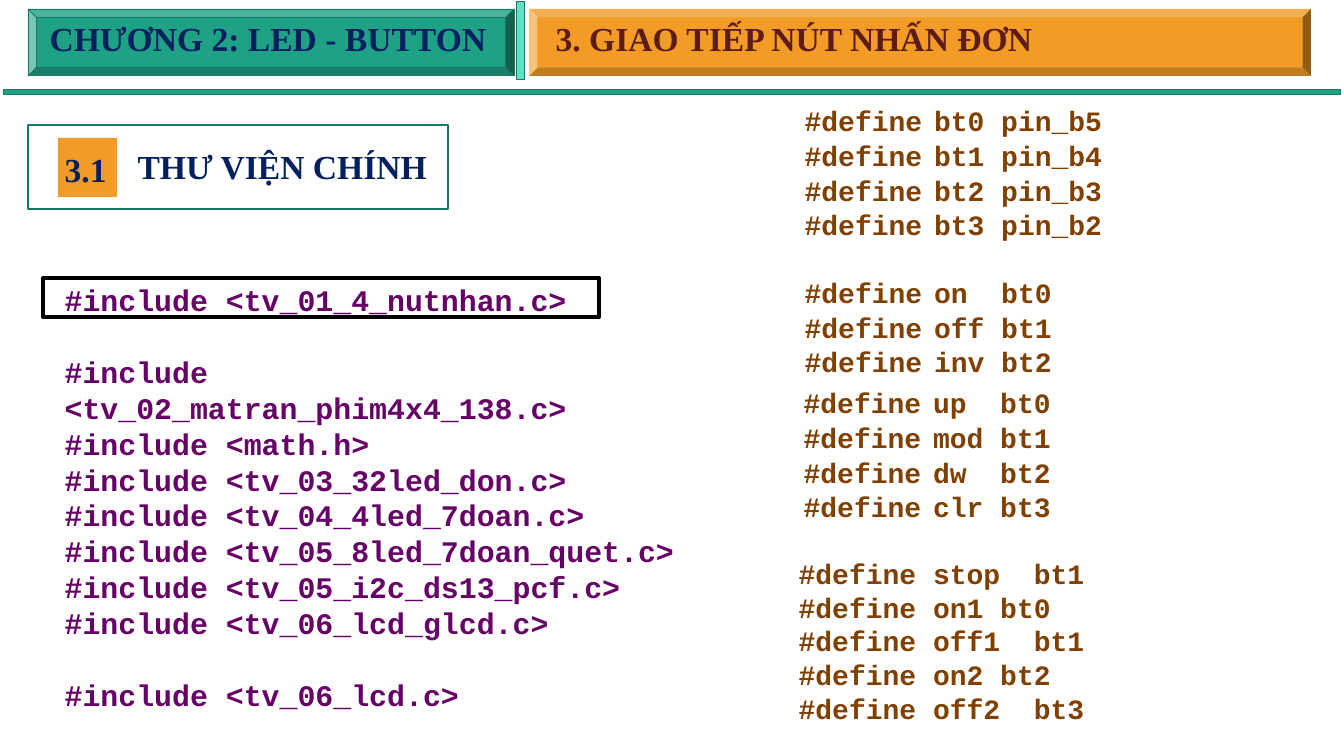
from dataclasses import dataclass

from lxml import etree
from pptx import Presentation
from pptx.dml.color import RGBColor
from pptx.enum.shapes import MSO_SHAPE
from pptx.oxml.ns import qn
from pptx.util import Emu, Pt


@dataclass(frozen=True)
class Theme:
    green: str = "1EA185"
    dark_green: str = "167762"
    mint: str = "5EE1C5"
    orange: str = "F29B26"
    navy: str = "002060"
    maroon: str = "5E1C18"
    purple: str = "660066"
    brown: str = "804000"
    black: str = "000000"
    heading_font: str = "Times New Roman"
    code_font: str = "Courier New"
    heading_size: int = 36
    include_size: int = 32
    define_size: int = 30


THEME = Theme()

# Content
CHAPTER = "CHƯƠNG 2: LED - BUTTON"
TOPIC = "3. GIAO TIẾP NÚT NHẤN ĐƠN"
SECTION_NUMBER = "3.1"
SECTION_TITLE = "THƯ VIỆN CHÍNH"
INCLUDES = [
    "tv_01_4_nutnhan.c", "tv_02_matran_phim4x4_138.c", "math.h",
    "tv_03_32led_don.c", "tv_04_4led_7doan.c", "tv_05_8led_7doan_quet.c",
    "tv_05_i2c_ds13_pcf.c", "tv_06_lcd_glcd.c", "tv_06_lcd.c",
]
SPACED_INCLUDES = {1, 8}

# Each group: tab stops in px, first-line indent in px, space above, line gap, pairs
WIDE_STOPS = (145, 274)
NARROW_STOPS = (134, 268)
DEFINE_BOXES = [
    ((793, 98, 540, 283), [
        (WIDE_STOPS, 5, 1, 1, [("bt0", "pin_b5"), ("bt1", "pin_b4"),
                               ("bt2", "pin_b3"), ("bt3", "pin_b2")]),
        (WIDE_STOPS, 5, 37, 1, [("on", "bt0"), ("off", "bt1"), ("inv", "bt2")]),
    ]),
    ((792, 380, 540, 349), [
        (WIDE_STOPS, 5, 0, 1, [("up", "bt0"), ("mod", "bt1"),
                               ("dw", "bt2"), ("clr", "bt3")]),
        (NARROW_STOPS, 0, 36, 0, [("stop", "bt1"), ("on1", "bt0"),
                                  ("off1", "bt1"), ("on2", "bt2")]),
        ((140, 274), 0, 0, 0, [("off2", "bt3")]),
    ]),
]


def px(length):
    return Emu(round(length * 914400 / 67.2))


prs = Presentation()
prs.slide_width, prs.slide_height = px(1344), px(756)
slide = prs.slides.add_slide(prs.slide_layouts[6])


def add_block(kind, box, fill=None, line=None, weight=1):
    block = slide.shapes.add_shape(kind, *map(px, box))
    block.shadow.inherit = False
    if fill:
        block.fill.solid()
        block.fill.fore_color.rgb = RGBColor.from_string(fill)
    else:
        block.fill.background()
    if line:
        block.line.color.rgb = RGBColor.from_string(line)
        block.line.width = Pt(weight)
    else:
        block.line.fill.background()


def set_tabs(paragraph, stops, indent):
    properties = paragraph._p.get_or_add_pPr()
    properties.set("marL", "0")
    properties.set("indent", str(px(indent)))
    tab_list = etree.SubElement(properties, qn("a:tabLst"))
    for stop in stops:
        etree.SubElement(tab_list, qn("a:tab"), pos=str(px(stop)), algn="l")


def add_text(lines, box, color, size=THEME.heading_size,
             font=THEME.heading_font, spacing=None, inset_top=3):
    """Each line is (text, space before, tab stops, first-line indent)."""
    frame = slide.shapes.add_textbox(*map(px, box)).text_frame
    frame.word_wrap = True
    frame.margin_top = px(inset_top)
    for index, (text, before, stops, indent) in enumerate(lines):
        paragraph = frame.paragraphs[0] if index == 0 else frame.add_paragraph()
        paragraph.space_before = Pt(before)
        if spacing:
            paragraph.line_spacing = Pt(spacing)
        if stops:
            set_tabs(paragraph, stops, indent)
        run = paragraph.add_run()
        run.text = text
        run.font.name = font
        run.font.size = Pt(size)
        run.font.bold = True
        run.font.color.rgb = RGBColor.from_string(color)


def add_heading(text, box, color=THEME.navy):
    add_text([(text, 0, (), 0)], box, color)


# Section label
add_block(MSO_SHAPE.RECTANGLE, (58, 138, 59, 59), THEME.orange)
add_block(MSO_SHAPE.RECTANGLE, (28, 125, 420, 84), line=THEME.dark_green, weight=2)
add_heading(SECTION_TITLE, (131, 143, 318, 48))
add_heading(SECTION_NUMBER, (58, 146, 268, 48))

# Header band
add_block(MSO_SHAPE.MATH_MINUS, (-238, 81, 1820, 22), THEME.green, THEME.dark_green)
add_block(MSO_SHAPE.BEVEL, (28, 9, 486, 67), THEME.green, THEME.dark_green)
add_heading(CHAPTER, (43, 15, 470, 48))
add_block(MSO_SHAPE.MATH_MINUS, (515, -125, 11, 331), THEME.mint, THEME.dark_green)
add_block(MSO_SHAPE.BEVEL, (529, 9, 782, 67), THEME.orange)
add_heading(TOPIC, (549, 15, 780, 48), THEME.maroon)

# Library includes, the first one framed
include_lines = [
    (f"#include <{name}>", 38.4 if i in SPACED_INCLUDES else 0, (), 0)
    for i, name in enumerate(INCLUDES)
]
add_text(include_lines, (58, 276, 672, 440), THEME.purple, THEME.include_size,
         THEME.code_font, spacing=38.4, inset_top=6)
add_block(MSO_SHAPE.RECTANGLE, (43, 278, 556, 39), line=THEME.black, weight=4.5)

# Button definitions
for box, groups in DEFINE_BOXES:
    define_lines = [
        (f"#define\t{name}\t{target}", gap if i else above, stops, indent)
        for stops, indent, above, gap, pairs in groups
        for i, (name, target) in enumerate(pairs)
    ]
    add_text(define_lines, box, THEME.brown, THEME.define_size,
             THEME.code_font, spacing=36, inset_top=6)

prs.save("out.pptx")
